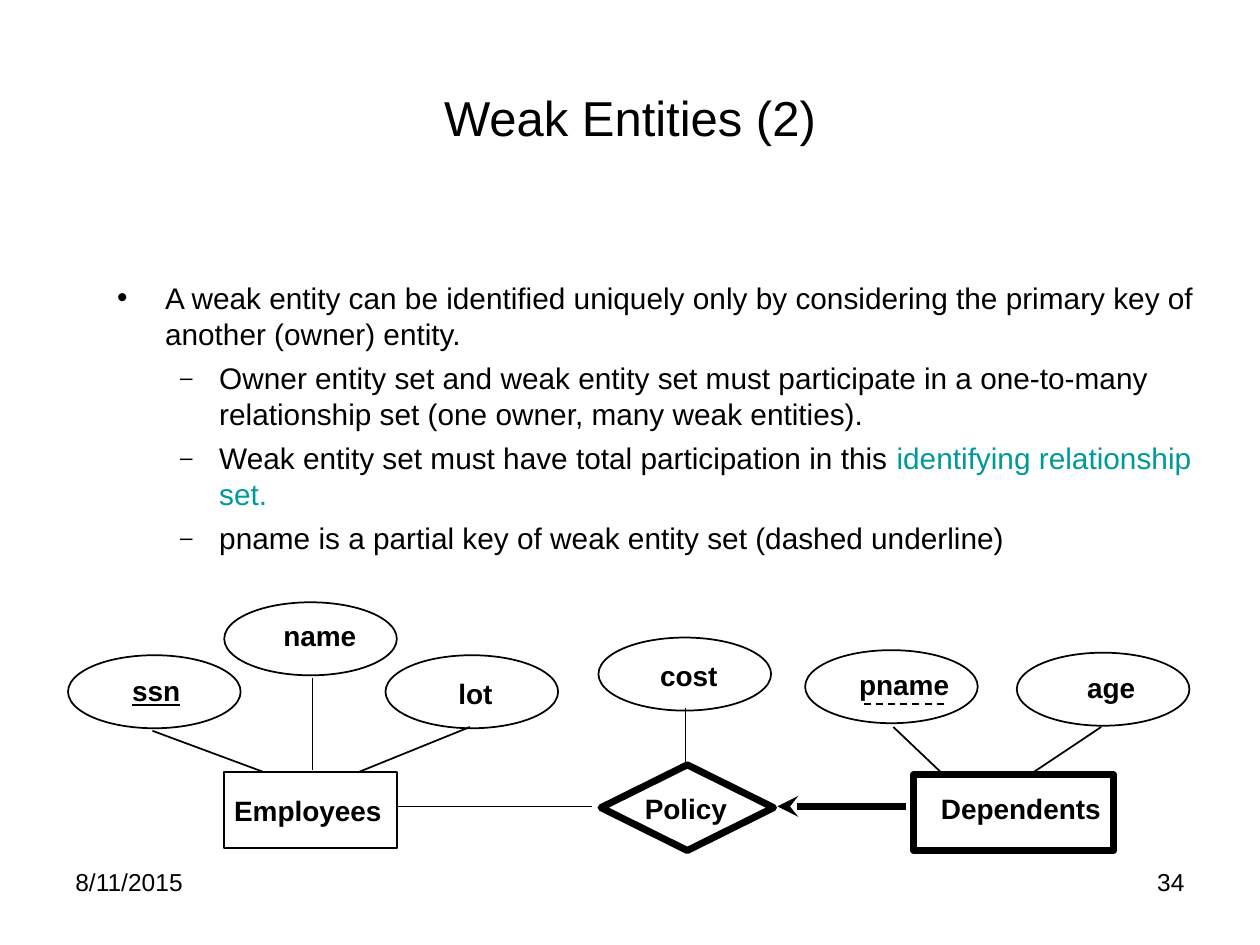
"""Build the slide on weak entities with its entity-relationship diagram."""
from lxml import etree
from pptx import Presentation
from pptx import util as u
from pptx.dml.color import RGBColor
from pptx.enum import dml, shapes, text
from pptx.oxml import ns

BLACK = RGBColor(0x00, 0x00, 0x00)
TEAL = RGBColor(0x00, 0x99, 0x99)
CELL = 0.1
OVAL = (13.7, 5.8)
LABEL_ROWS = 3.6
THIN, THICK = 1, 4
SHAPE = shapes.MSO_SHAPE
ALIGN = text.PP_ALIGN
FIT = text.MSO_AUTO_SIZE

TITLE = {"size": u.Pt(28), "name": "Arial"}
BODY = {"size": u.Pt(17), "name": "Arial"}
LABEL = {"size": u.Pt(16), "name": "Arial", "bold": True}
FOOTER = {"size": u.Pt(14), "name": "Arial"}

BULLETS = [
    (0, [("A weak entity can be identified uniquely only by considering the "
          "primary key of another (owner) entity.", BLACK)]),
    (1, [("Owner entity set and weak entity set must participate in a "
          "one-to-many relationship set (one owner, many weak entities).", BLACK)]),
    (1, [("Weak entity set must have total participation in this ", BLACK),
         ("identifying relationship set.", TEAL)]),
    (1, [("pname is a partial key of weak entity set (dashed underline)", BLACK)]),
]
LEVELS = [("•", 100, 0.38, -0.38), ("–", 75, 0.81, -0.31)]

ATTRIBUTES = [
    ("ssn", 5.4, 52, 9.5, 53, 6),
    ("name", 17.8, 47.8, 21.5, 48.6, 8),
    ("lot", 30.6, 52, 35.4, 53.2, 5),
    ("cost", 47.5, 50.6, 51.4, 51.8, 7),
    ("pname", 63.9, 51.6, 67.2, 52.5, 9.5),
    ("age", 80.7, 51.8, 85.3, 52.7, 6),
]
SETS = [
    ("Employees", SHAPE.RECTANGLE, (17.8, 61.3, 13.7, 6), THIN, 17.6, 62.5, 14),
    ("Policy", SHAPE.DIAMOND, (47.7, 60.7, 13.7, 6.8), THICK, 50.2, 62.3, 9),
    ("Dependents", SHAPE.RECTANGLE, (72.5, 61.5, 15.9, 6), THICK, 73.7, 62.3, 15),
]
LINKS = [
    (24.8, 53.8, 24.8, 61.1),
    (12.1, 58, 21, 61.3),
    (37.3, 57.7, 28.4, 61.3),
    (54.4, 60.7, 54.4, 56.2),
    (70.9, 57.7, 74.9, 61.5),
    (87.4, 57.7, 81.7, 61.5),
    (47, 64, 31.5, 64),
]


def grid(*cells):
    """Turn grid columns and rows into lengths."""
    return [u.Inches(round(c * CELL, 2)) for c in cells]


def apply(target, values):
    """Set each named attribute on the target."""
    for name, value in values.items():
        setattr(target, name, value)


class Deck:
    """Hold the style and the current slide."""

    def __init__(self):
        """Start a presentation with one title and content slide."""
        self.prs = Presentation()
        self.prs.slide_width, self.prs.slide_height = grid(100, 75)
        self.s = self.prs.slides.add_slide(self.prs.slide_layouts[1])

    def place(self, sp, box):
        """Move a placeholder to a grid box."""
        apply(sp, dict(zip(("left", "top", "width", "height"), grid(*box))))
        sp.text_frame.auto_size = FIT.NONE
        return sp.text_frame

    def run(self, p, words, style, color=BLACK):
        """Add formatted words to a paragraph."""
        r = p.add_run()
        r.text = words
        apply(r.font, style)
        r.font.color.rgb = color

    def title(self, words, box):
        """Fill the title placeholder."""
        tf = self.place(self.s.shapes.title, box)
        tf.vertical_anchor = text.MSO_ANCHOR.MIDDLE
        tf.paragraphs[0].alignment = ALIGN.CENTER
        self.run(tf.paragraphs[0], words, TITLE)

    def bullets(self, items, box):
        """Fill the body placeholder with a two-level list."""
        tf = self.place(self.s.placeholders[1], box)
        for i, (level, runs) in enumerate(items):
            p = tf.add_paragraph() if i else tf.paragraphs[0]
            apply(p, {"level": level, "space_before": u.Pt(5 if i else 0)})
            mark, size, margin, indent = LEVELS[level]
            pPr = p._p.get_or_add_pPr()
            pPr.set("marL", str(u.Inches(margin)))
            pPr.set("indent", str(u.Inches(indent)))
            etree.SubElement(pPr, ns.qn("a:buSzPct"), val=str(size * 1000))
            etree.SubElement(pPr, ns.qn("a:buChar"), char=mark)
            for words, color in runs:
                self.run(p, words, BODY, color)

    def text(self, words, box, style, align=ALIGN.LEFT):
        """Add a one-line text box."""
        tf = self.s.shapes.add_textbox(*grid(*box)).text_frame
        apply(tf, {"word_wrap": True, "auto_size": FIT.NONE})
        tf.paragraphs[0].alignment = align
        self.run(tf.paragraphs[0], words, style)

    def outline(self, kind, box, width):
        """Add an unfilled shape with a black outline."""
        sp = self.s.shapes.add_shape(kind, *grid(*box))
        sp.shadow.inherit = False
        sp.fill.background()
        sp.line.color.rgb = BLACK
        sp.line.width = u.Pt(width)

    def line(self, ends, width=THIN, dash=None, head=None):
        """Add a straight connector, with an optional head at its start."""
        c = self.s.shapes.add_connector(shapes.MSO_CONNECTOR.STRAIGHT, *grid(*ends))
        c.line.color.rgb = BLACK
        apply(c.line, {"width": u.Pt(width), "dash_style": dash})
        if head:
            etree.SubElement(c.line._get_or_add_ln(), ns.qn("a:headEnd"), type=head)
        etree.SubElement(c._element.spPr, ns.qn("a:effectLst"))


def main():
    """Build and save the slide."""
    deck = Deck()
    deck.title("Weak Entities (2)", (5, 3, 90, 12.5))
    deck.bullets(BULLETS, (8.3, 21.7, 89.2, 22.5))
    for name, left, top, x, y, width in ATTRIBUTES:
        deck.outline(SHAPE.OVAL, (left, top, *OVAL), THIN)
        style = {**LABEL, "underline": name == "ssn"}
        deck.text(name, (x, y, width, LABEL_ROWS), style)
    for name, kind, box, weight, x, y, width in SETS:
        deck.outline(kind, box, weight)
        deck.text(name, (x, y, width, LABEL_ROWS), LABEL)
    for ends in LINKS:
        deck.line(ends)
    deck.line((74.9, 55.9, 68.2, 55.9), dash=dml.MSO_LINE.DASH)
    deck.line((61.7, 64, 71.9, 64), THICK, head="stealth")
    deck.text("34", (71.7, 68.3, 23.3, 5.2), FOOTER, ALIGN.RIGHT)
    deck.text("8/11/2015", (5, 68.3, 23.3, 5.2), FOOTER)
    deck.prs.save("out.pptx")


if __name__ == "__main__":
    main()
